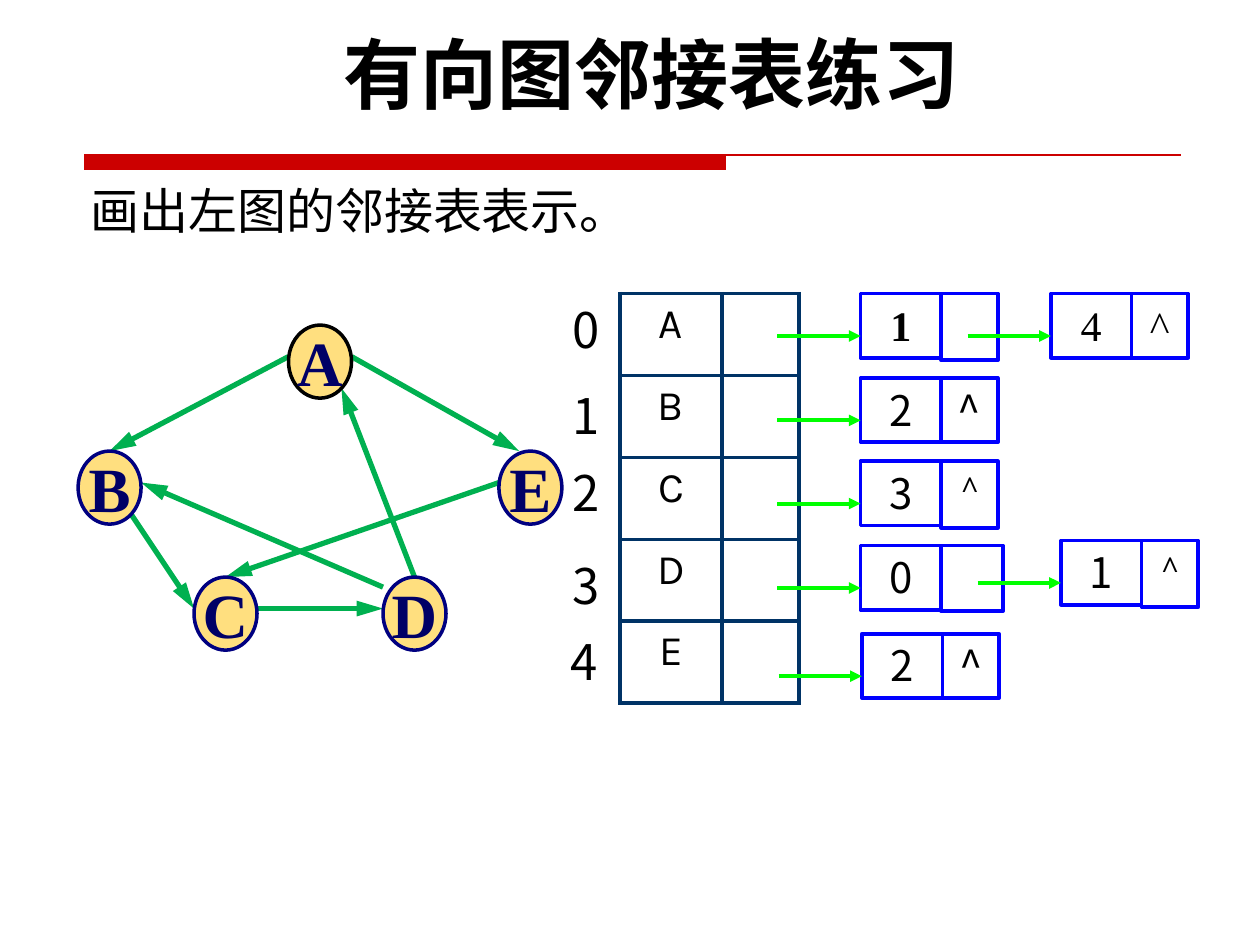
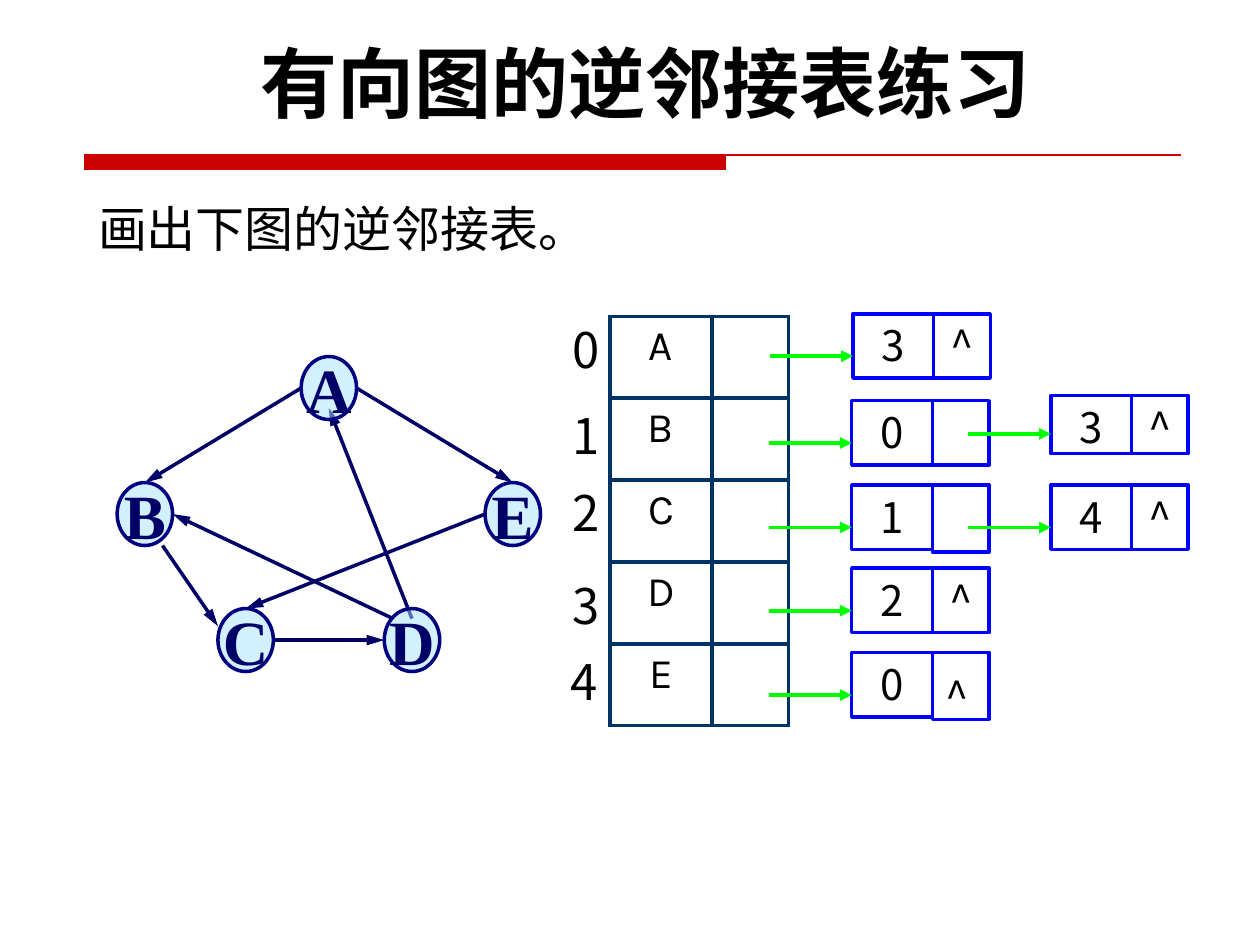
"""Build two slides on adjacency and inverse adjacency lists of a directed graph."""
from dataclasses import dataclass

from lxml import etree
from pptx import Presentation
from pptx.dml.color import RGBColor
from pptx.enum import shapes, text
from pptx.oxml import ns
from pptx.util import Inches, Pt


@dataclass(frozen=True)
class Theme:
    band: str = "CC0000"
    ink: str = "000000"
    navy: str = "000066"
    node_rim: str = "000080"
    grid: str = "003366"
    cell: str = "0000FF"
    pointer: str = "00FF00"
    title_font: str = "Karla"
    body_font: str = "Noto Sans CJK SC"
    serif: str = "Times New Roman"
    title_size: int = 44
    node_size: int = 36
    body_size: int = 28
    cell_size: int = 24
    small_size: int = 18


@dataclass
class ListNode:
    x: float
    y: float
    key: str
    link: str = "^"
    h: float = 0.51
    link_w: float = 0.45
    link_h: float = 0.51
    key_style: str = "body"
    link_style: str = "body"


T = Theme()
STYLES = {
    "body": dict(font=T.body_font, size=T.cell_size),
    "serif": dict(font=T.serif, size=T.cell_size),
    "serif bold": dict(font=T.serif, size=T.cell_size, bold=True),
    "small": dict(font=T.serif, size=T.small_size, bold=True, italic=True),
}
VERTICES = "ABCDE"
KEY_W, POINTER_W = 0.64, 0.66

SLIDES = [
    dict(
        title=("有向图邻接表练习", (0.55, 0.16, 9.25, 0.84)),
        task=("画出左图的邻接表表示。", (0.62, 1.36, 9.29, 0.59),
              dict(anchor=text.MSO_ANCHOR.BOTTOM)),
        graph=dict(
            size=(0.5, 0.58), fill="FFC000", edge="00B050", width=3, rims={"A": T.ink},
            nodes=dict(A=(2.29, 2.58), B=(0.62, 3.58), E=(3.96, 3.58),
                       C=(1.54, 4.58), D=(3.04, 4.58)),
            edges=[(2.29, 2.83, 0.87, 3.58), (1.04, 4.08, 1.54, 4.83),
                   (2.04, 4.83, 3.04, 4.83), (3.29, 4.58, 2.71, 3.08),
                   (2.79, 2.83, 4.12, 3.58), (3.04, 4.66, 1.12, 3.83),
                   (3.96, 3.83, 1.79, 4.58)]),
        table=(4.92, 2.33),
        index_top=2.33,
        lists=[
            ListNode(6.83, 2.33, "1", "", link_h=0.53, key_style="serif bold"),
            ListNode(8.34, 2.33, "4", key_style="serif", link_style="serif"),
            ListNode(6.83, 3, "2"),
            ListNode(6.83, 3.66, "3", link_h=0.53, link_style="small"),
            ListNode(6.83, 4.33, "0", "", link_w=0.49, link_h=0.52),
            ListNode(8.42, 4.29, "1", link_h=0.53, link_style="small"),
            ListNode(6.84, 5.03, "2"),
        ],
        marks=[],
    ),
    dict(
        title=("有向图的逆邻接表练习", (0.5, 0.23, 9.25, 0.84)),
        task=("画出下图的逆邻接表。", (0.68, 1.39, 8.75, 0.63), dict(spacing=1.3)),
        graph=dict(
            size=(0.44, 0.5), fill="A7E2FF", edge=T.navy, width=2, rims={},
            nodes=dict(A=(2.39, 2.83), B=(0.93, 3.83), E=(3.85, 3.83),
                       C=(1.73, 4.83), D=(3.05, 4.83)),
            edges=[(2.39, 3.08, 1.15, 3.83), (1.29, 4.33, 1.73, 4.97),
                   (2.17, 5.08, 3.05, 5.08), (3.27, 4.91, 2.61, 3.24),
                   (2.83, 3.08, 4.07, 3.83), (3.12, 4.91, 1.37, 4.08),
                   (3.85, 4.08, 1.95, 4.83)]),
        table=(4.84, 2.51),
        index_top=2.49,
        lists=[
            ListNode(6.77, 2.49, "3"),
            ListNode(6.76, 3.18, "0", ""),
            ListNode(8.34, 3.14, "3", h=0.46, link_h=0.46),
            ListNode(6.76, 3.85, "1", "", link_h=0.53),
            ListNode(8.34, 3.85, "4"),
            ListNode(6.76, 4.51, "2"),
            ListNode(6.76, 5.18, "0", "", link_h=0.53),
        ],
        marks=[("^", (5.04, 5.27, 5.12, 0.5))],
    ),
]
INDEX_OFFSETS = [(4.08, 0), (4.08, 0.68), (4.08, 1.29), (4.08, 2.03), (4.06, 2.63)]


def rgb(color):
    return RGBColor.from_string(color)


def inches(*values):
    return [Inches(v) for v in values]


def write(tf, words, font=T.body_font, size=T.body_size, color=T.ink, bold=False,
          italic=False, align=text.PP_ALIGN.CENTER, spacing=None):
    p = tf.paragraphs[0]
    p.alignment = align
    if spacing:
        p.line_spacing = spacing
    r = p.add_run()
    r.text = words
    f = r.font
    f.name, f.size, f.bold, f.italic = font, Pt(size), bold, italic
    f.color.rgb = rgb(color)
    ea = etree.SubElement(r._r.get_or_add_rPr(), ns.qn("a:ea"))
    ea.set("typeface", T.body_font)


def add_text(s, words, box, anchor=text.MSO_ANCHOR.TOP, **style):
    tf = s.shapes.add_textbox(*inches(*box)).text_frame
    tf.word_wrap = True
    tf.vertical_anchor = anchor
    write(tf, words, **style)


def add_line(s, ends, color, width, head=None):
    c = s.shapes.add_connector(shapes.MSO_CONNECTOR.STRAIGHT, *inches(*ends))
    c.line.color.rgb = rgb(color)
    c.line.width = Pt(width)
    if head:
        end = etree.SubElement(c.line._get_or_add_ln(), ns.qn("a:tailEnd"))
        end.set("type", "triangle")
        end.set("w", "med")
        end.set("len", head)
    etree.SubElement(c._element.spPr, ns.qn("a:effectLst"))


def add_outlined(s, kind, box, color):
    sp = s.shapes.add_shape(kind, *inches(*box))
    sp.shadow.inherit = False
    sp.fill.background()
    sp.line.color.rgb = rgb(color)
    sp.line.width = Pt(2)
    return sp


def add_band(s):
    fb = s.shapes.build_freeform(*inches(0.67, 1.23), scale=1.0)
    corners = [(5.76, 1.23), (5.76, 1.35), (0.67, 1.35)]
    fb.add_line_segments([inches(*corner) for corner in corners], close=True)
    sp = fb.convert_to_shape()
    sp.shadow.inherit = False
    sp.fill.solid()
    sp.fill.fore_color.rgb = rgb(T.band)
    sp.line.fill.background()
    add_line(s, (0.67, 1.23, 9.37, 1.23), T.band, 0.75)


def add_graph(s, graph):
    for ends in graph["edges"]:
        add_line(s, ends, graph["edge"], graph["width"], "lg")
    for name, corner in graph["nodes"].items():
        sp = add_outlined(s, shapes.MSO_SHAPE.OVAL, corner + graph["size"],
                          graph["rims"].get(name, T.node_rim))
        sp.fill.solid()
        sp.fill.fore_color.rgb = rgb(graph["fill"])
        clr = sp._element.spPr.find(ns.qn("a:solidFill"))[0]
        etree.SubElement(clr, ns.qn("a:alpha")).set("val", "50000")
        tf = sp.text_frame
        tf.word_wrap = False
        tf.vertical_anchor = text.MSO_ANCHOR.MIDDLE
        write(tf, name, T.serif, T.node_size, T.navy, bold=True)


def set_borders(cell):
    tcPr = cell._tc.get_or_add_tcPr()
    for i, side in enumerate(("lnL", "lnR", "lnT", "lnB")):
        ln = etree.Element(ns.qn("a:" + side), w=str(Pt(2.25)))
        fill = etree.SubElement(ln, ns.qn("a:solidFill"))
        etree.SubElement(fill, ns.qn("a:srgbClr")).set("val", T.grid)
        tcPr.insert(i, ln)


def add_vertex_table(s, corner):
    frame = s.shapes.add_table(len(VERTICES), 2, *inches(*corner, 1.42, 3.25))
    table = frame.table
    table.first_row = table.horz_banding = False
    for col, w in zip(table.columns, (0.81, 0.61)):
        col.width = Inches(w)
    for row, name in zip(table.rows, VERTICES):
        row.height = Inches(0.65)
        for cell in row.cells:
            cell.fill.background()
            set_borders(cell)
        write(row.cells[0].text_frame, name, T.title_font, T.cell_size)


def add_list_node(s, node):
    parts = [
        (node.x, KEY_W, node.h, node.key, node.key_style),
        (node.x + KEY_W, node.link_w, node.link_h, node.link, node.link_style),
    ]
    for x, w, h, words, style in parts:
        sp = add_outlined(s, shapes.MSO_SHAPE.RECTANGLE, (x, node.y, w, h), T.cell)
        tf = sp.text_frame
        tf.word_wrap = True
        tf.vertical_anchor = text.MSO_ANCHOR.TOP
        if words:
            write(tf, words, **STYLES[style])
    y = node.y + 0.66 * node.h
    add_line(s, (node.x - POINTER_W, y, node.x, y), T.pointer, 2.25, "med")


def add_slide(prs, content):
    s = prs.slides.add_slide(prs.slide_layouts[6])
    add_band(s)
    add_graph(s, content["graph"])
    words, box, options = content["task"]
    add_text(s, words, box, align=text.PP_ALIGN.LEFT, **options)
    add_text(s, *content["title"], font=T.title_font, size=T.title_size, bold=True)
    add_vertex_table(s, content["table"])
    for node in content["lists"]:
        add_list_node(s, node)
    for words, box in content["marks"]:
        add_text(s, words, box, size=T.cell_size)
    for i, (x, dy) in enumerate(INDEX_OFFSETS):
        add_text(s, str(i), (x, content["index_top"] + dy, 0.78, 0.57),
                 align=text.PP_ALIGN.RIGHT)


def main():
    prs = Presentation()
    prs.slide_width, prs.slide_height = inches(10, 7.5)
    for content in SLIDES:
        add_slide(prs, content)
    prs.save("out.pptx")


if __name__ == "__main__":
    main()
